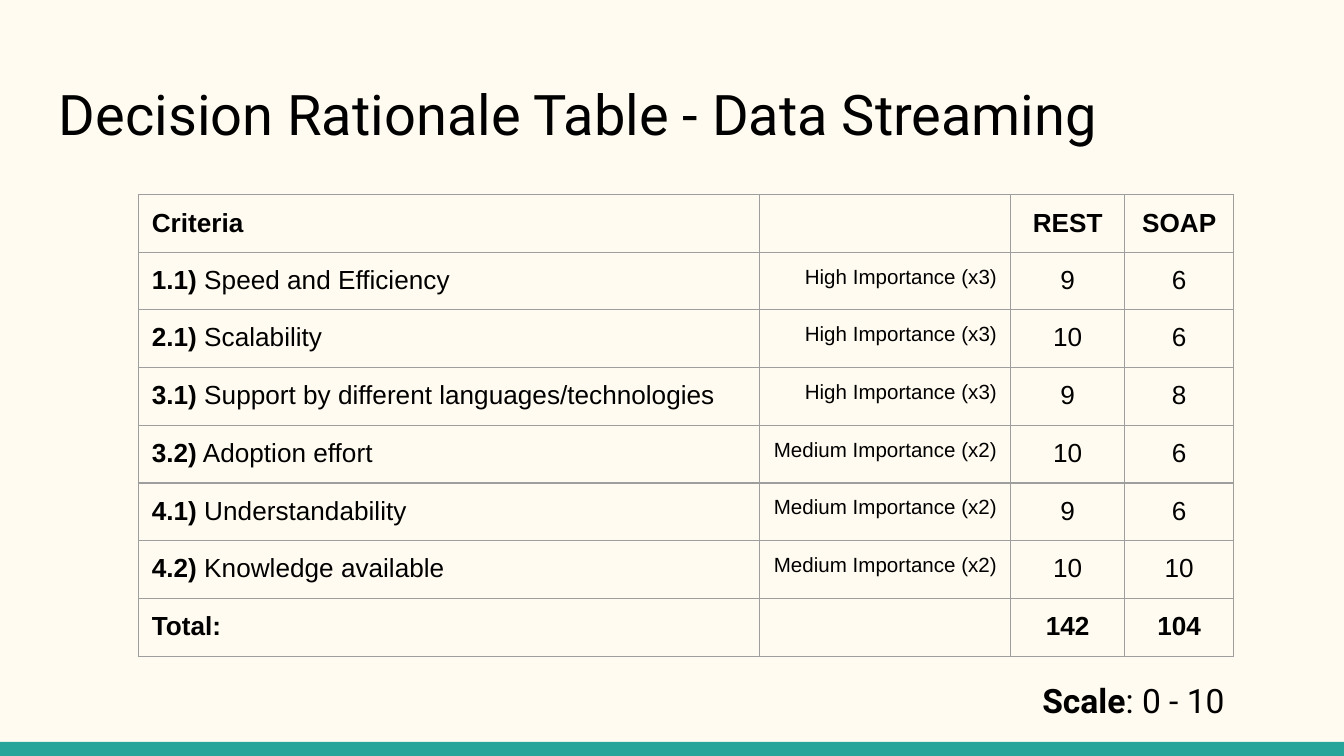
import pptx
import pptx.util
import pptx.dml.color
import pptx.enum.shapes
import pptx.enum.text
import pptx.oxml.ns
import lxml.etree

Inches = pptx.util.Inches
Pt = pptx.util.Pt
Align = pptx.enum.text.PP_ALIGN
qn = pptx.oxml.ns.qn
colors = {"back": "FFFBF0", "bar": "26A69A", "text": "000000", "grid": "9E9E9E"}


def rgb(name):
    return pptx.dml.color.RGBColor.from_string(colors[name])


def write(para, parts, size, font, align=Align.LEFT):
    """Fill a paragraph with (text, bold) parts."""
    para.alignment = align
    for text, bold in parts:
        run = para.add_run()
        run.text = text
        run.font.size = Pt(size)
        run.font.name = font
        run.font.bold = bold
        run.font.color.rgb = rgb("text")


# Slide in 16:9
deck = pptx.Presentation()
deck.slide_width = Inches(10)
deck.slide_height = Inches(10 * 9 / 16)
slide = deck.slides.add_slide(deck.slide_layouts[6])
slide.background.fill.solid()
slide.background.fill.fore_color.rgb = rgb("back")

# Bottom bar
bar = slide.shapes.add_shape(
    pptx.enum.shapes.MSO_SHAPE.RECTANGLE, 0, Inches(5.52), Inches(10), Inches(0.11))
bar.shadow.inherit = False
bar.fill.solid()
bar.fill.fore_color.rgb = rgb("bar")
bar.line.fill.background()

# Title and scale note
notes = [
    (0.34, 0.49, 9.32, 0.67, 30, Align.LEFT,
     [("Decision Rationale Table - Data Streaming", False)]),
    (6.5, 4.96, 2.71, 0.5, 18, Align.RIGHT, [("Scale", True), (": 0 - 10", False)]),
]
for left, top, width, height, size, align, parts in notes:
    box = slide.shapes.add_textbox(Inches(left), Inches(top), Inches(width), Inches(height))
    frame = box.text_frame
    frame.word_wrap = True
    frame.margin_left = frame.margin_right = Inches(0.1)
    frame.margin_top = frame.margin_bottom = Inches(0.1)
    write(frame.paragraphs[0], parts, size, "Roboto", align)

# Table content: number, criterion, weight, scores
high, medium = "High Importance (x3)", "Medium Importance (x2)"
rows = [
    ("Criteria", "", "", "REST", "SOAP"),
    ("1.1)", " Speed and Efficiency", high, "9", "6"),
    ("2.1)", " Scalability", high, "10", "6"),
    ("3.1)", " Support by different languages/technologies", high, "9", "8"),
    ("3.2)", " Adoption effort", medium, "10", "6"),
    ("4.1)", " Understandability", medium, "9", "6"),
    ("4.2)", " Knowledge available", medium, "10", "10"),
    ("Total:", "", "", "142", "104"),
]
widths = [4.62, 1.87, 0.85, 0.81]
table = slide.shapes.add_table(
    len(rows), len(widths), Inches(1.03), Inches(1.45), Inches(8.15), Inches(3.43)).table
table.first_row = table.horz_banding = False
for col, width in zip(table.columns, widths):
    col.width = Inches(width)

for i, (mark, name, weight, rest, soap) in enumerate(rows):
    table.rows[i].height = Inches(0.42 if i == 1 else 0.43)
    strong = not name
    cells = [
        ([(mark, True)] + ([(name, False)] if name else []), 14, Align.LEFT),
        ([(weight, False)] if weight else [], 11, Align.RIGHT),
        ([(rest, strong)], 14, Align.CENTER),
        ([(soap, strong)], 14, Align.CENTER),
    ]
    for j, (parts, size, align) in enumerate(cells):
        cell = table.cell(i, j)
        cell.fill.background()
        cell.margin_left = cell.margin_right = cell.margin_top = Inches(0.1)
        cell.margin_bottom = Inches(0.09)
        para = cell.text_frame.paragraphs[0]
        write(para, parts, size, "Arial", align)
        if not parts:
            # Keep the empty cell from stretching its row
            lxml.etree.SubElement(para._p, qn("a:endParaRPr"), sz="1100")

        # Cell borders
        props = cell._tc.get_or_add_tcPr()
        for k, side in enumerate(("a:lnL", "a:lnR", "a:lnT", "a:lnB")):
            line = lxml.etree.Element(qn(side), w=str(Pt(0.75)))
            fill = lxml.etree.SubElement(line, qn("a:solidFill"))
            lxml.etree.SubElement(fill, qn("a:srgbClr"), val=colors["grid"])
            props.insert(k, line)

deck.save("out.pptx")
